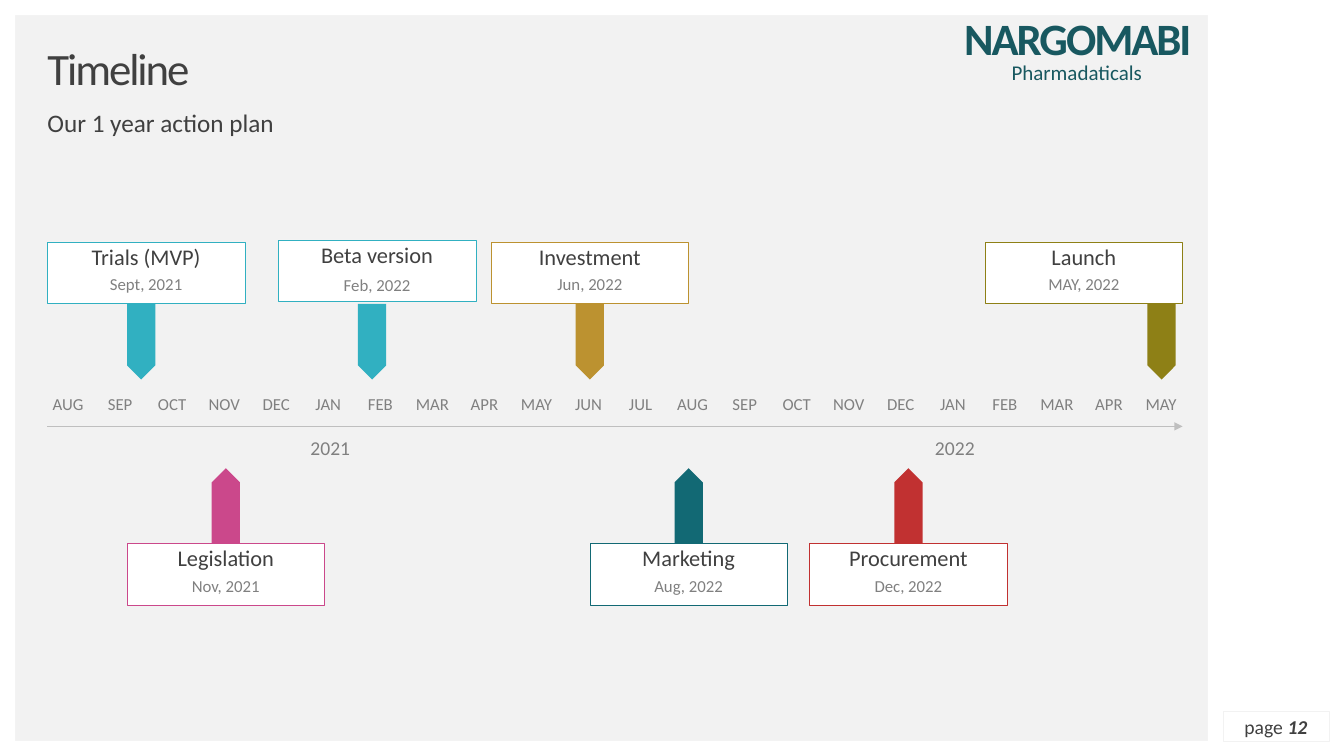
"""Builds a one-slide yearly action plan timeline."""
from lxml import etree
from pptx import Presentation
from pptx import util as u
from pptx.dml.color import RGBColor
from pptx.enum import shapes, text
from pptx.oxml.ns import qn

W, H = 13.33, 7.5
FONT, DARK, GREY, PALE, WHITE, TEAL = "Calibri", "404040", "808080", "F2F2F2", "FFFFFF", "185860"
LEFT, AXIS_Y, AXIS_END = 0.47, 4.23, 11.73
MONTH_TOP, MONTH_W, MONTH_STEP = 3.93, 0.41, 0.5162
CARD_W, CARD_H, DATE_W, DATE_H = 1.96, 0.61, 1.85, 0.25
POINTER_L, POINTER_W = 0.75, 0.28
TOP_POINTER_Y, LOW_POINTER_Y = 3.39, 5.02
MARGIN, SIDE = 0.15, 1.35

MONTHS = ("AUG SEP OCT NOV DEC JAN FEB MAR APR MAY JUN "
          "JUL AUG SEP OCT NOV DEC JAN FEB MAR APR MAY").split()
YEARS = [("2021", 5), ("2022", 17)]
FRAME = [(0, 0, W, MARGIN), (0, 0, MARGIN, H),
         (W - SIDE, 0, SIDE, H), (0, H - MARGIN, W, MARGIN)]
# title, date, colour, card left, card top, date drop, pointer centre
MILESTONES = [
    ("Trials (MVP)", "Sept, 2021", "31B0C1", 0.47, 2.4, 0.34, 1.4),
    ("Legislation", "Nov, 2021", "CB488B", 1.26, 5.39, 0.34, 2.24),
    ("Investment", "Jun, 2022", "BC9230", 4.87, 2.4, 0.34, 5.85),
    ("Marketing", "Aug, 2022", "126974", 5.85, 5.39, 0.34, 6.83),
    ("Procurement", "Dec, 2022", "C13131", 8.03, 5.39, 0.34, 9.01),
    ("Launch", "MAY, 2022", "8E8016", 9.77, 2.4, 0.34, 11.52),
    ("Beta version", "Feb, 2022", "31B0C1", 2.76, 2.38, 0.37, 3.69),
]


def rgb(value):
    """Turn a hex string into a colour."""
    return RGBColor.from_string(value)


def add_box(s, at, fill=None, line=None, kind=shapes.MSO_SHAPE.RECTANGLE):
    """Add a flat preset shape."""
    sp = s.shapes.add_shape(kind, *map(u.Inches, at))
    sp.shadow.inherit = False
    if fill:
        sp.fill.solid()
        sp.fill.fore_color.rgb = rgb(fill)
    else:
        sp.fill.background()
    if line:
        sp.line.color.rgb = rgb(line)
        sp.line.width = u.Pt(0.25)
    else:
        sp.line.fill.background()
    return sp


def write(sp, runs, align="CENTER", anchor="TOP", inset=0, spacing=0.9, before=10):
    """Write one paragraph; a run is text, size, colour, then bold, italic, tracking."""
    tf = sp.text_frame
    tf.word_wrap = True
    tf.margin_left = tf.margin_right = tf.margin_bottom = 0
    tf.margin_top = u.Inches(inset)
    tf.vertical_anchor = getattr(text.MSO_ANCHOR, anchor)
    p = tf.paragraphs[0]
    p.alignment = getattr(text.PP_ALIGN, align)
    p.line_spacing = spacing
    p.space_before = u.Pt(before)
    for words, size, color, bold, italic, track in runs:
        r = p.add_run()
        r.text = words
        r.font.name, r.font.size = FONT, u.Pt(size)
        r.font.bold, r.font.italic = bold, italic
        r.font.color.rgb = rgb(color)
        if track:
            r.font._element.set("spc", str(track))


def add_label(s, at, words, size, color, track=0, **style):
    """Add a text box holding a single run."""
    sp = s.shapes.add_textbox(*map(u.Inches, at))
    write(sp, [(words, size, color, False, False, track)], **style)


def add_axis(s):
    """Draw the time arrow with its months and years."""
    ends = map(u.Inches, (LEFT, AXIS_Y, AXIS_END, AXIS_Y))
    axis = s.shapes.add_connector(shapes.MSO_CONNECTOR.STRAIGHT, *ends)
    axis.line.color.rgb = rgb("BFBFBF")
    axis.line.width = u.Pt(0.5)
    etree.SubElement(axis.line._get_or_add_ln(), qn("a:tailEnd"), type="triangle")
    etree.SubElement(axis._element.spPr, qn("a:effectLst"))
    for i, month in enumerate(MONTHS):
        add_label(s, (LEFT + i * MONTH_STEP, MONTH_TOP, MONTH_W, 0.22), month, 12, GREY)
    for year, i in YEARS:
        add_label(s, (LEFT + i * MONTH_STEP, 4.35, 0.45, 0.22), year, 14, GREY,
                  anchor="MIDDLE", before=0)


def add_milestone(s, title, date, color, left, top, drop, center):
    """Draw a pointer towards the axis with its card and date."""
    above = top < AXIS_Y
    middle = TOP_POINTER_Y if above else LOW_POINTER_Y
    at = (center - POINTER_L / 2, middle - POINTER_W / 2, POINTER_L, POINTER_W)
    add_box(s, at, color, kind=shapes.MSO_SHAPE.PENTAGON).rotation = 90 if above else 270
    card = add_box(s, (left, top, CARD_W, CARD_H), WHITE, color)
    write(card, [(title, 16, DARK, False, False, 0)], inset=0.04)
    inner = left + (CARD_W - DATE_W) / 2
    add_label(s, (inner, top + drop, DATE_W, DATE_H), date, 12, GREY)


def main():
    """Build and save the slide."""
    prs = Presentation()
    prs.slide_width, prs.slide_height = u.Inches(W), u.Inches(H)
    s = prs.slides.add_slide(prs.slide_layouts[6])
    s.background.fill.solid()
    s.background.fill.fore_color.rgb = rgb(PALE)
    for at in FRAME:
        add_box(s, at, WHITE)
    add_label(s, (LEFT, 0.47, 11.09, 0.47), "Timeline", 32, DARK, -150,
              align="LEFT", anchor="MIDDLE", before=0)
    add_label(s, (LEFT, 1.1, 11.09, 0.28), "Our 1 year action plan", 18, DARK, align="LEFT")
    add_axis(s)
    for milestone in MILESTONES:
        add_milestone(s, *milestone)
    page = add_box(s, (12.13, 7.06, 1.05, 0.29), line=PALE)
    write(page, [("page ", 14, DARK, False, False, 0), ("12", 14, DARK, True, True, 0)],
          anchor="MIDDLE", spacing=1.0, before=0)
    name = s.shapes.add_textbox(*map(u.Inches, (9.41, 0.29, 2.54, 0.56)))
    write(name, [("NARGOMABI ", 32, TEAL, True, False, -150),
                 ("Pharmadaticals", 15, TEAL, False, False, 0)],
          inset=0.16, spacing=u.Pt(14), before=0)
    prs.save("out.pptx")


if __name__ == "__main__":
    main()
